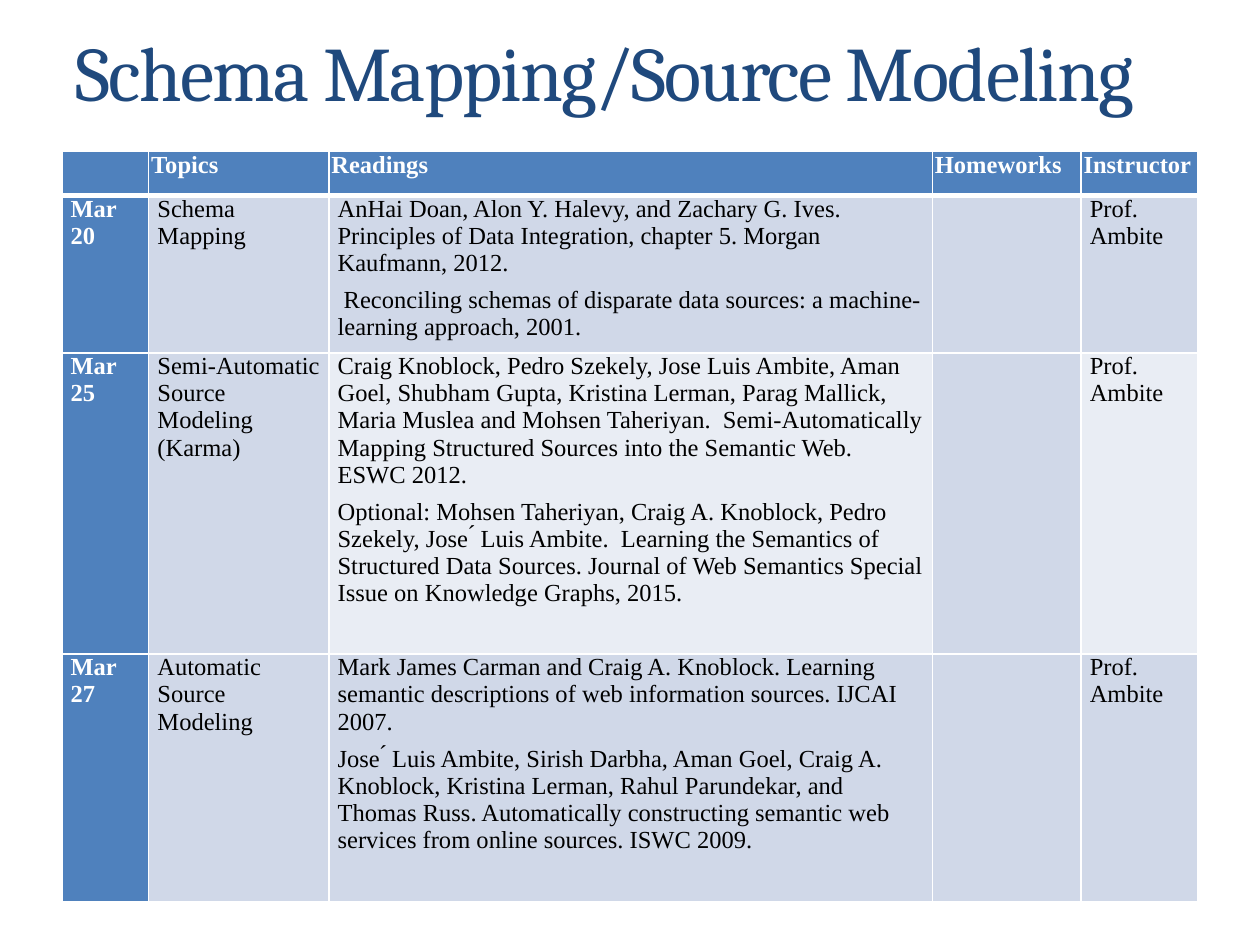
"""Build a one-slide course schedule for schema mapping and source modeling."""
import pptx
import pptx.dml.color
import pptx.enum.text
import pptx.oxml
import pptx.oxml.ns
import pptx.util

WIDTH, HEIGHT = 10, 7.5
COLS = [0.69, 1.43, 4.79, 1.18, 0.93]
ROWS = [0.35, 1.14, 2.39, 1.97]
BLUE, PALE, LIGHT, WHITE, BLACK = "4F81BD", "D0D8E8", "E9EDF4", "FFFFFF", "000000"
LEFT = pptx.enum.text.PP_ALIGN.LEFT
JUSTIFY = pptx.enum.text.PP_ALIGN.JUSTIFY
HEADER_ALIGNS = [LEFT, LEFT, LEFT, JUSTIFY, JUSTIFY]
BODY_ALIGNS = [JUSTIFY, LEFT, LEFT, LEFT, JUSTIFY]
NS = pptx.oxml.ns.nsdecls("a")

HEADER = ["", "Topics", "Readings", "Homeworks", "Instructor"]
SESSIONS = [
    ("Mar 20", "Schema Mapping", [
        "AnHai Doan, Alon Y. Halevy, and Zachary G. Ives. Principles of Data "
        "Integration, chapter 5. Morgan Kaufmann, 2012.",
        " Reconciling schemas of disparate data sources: a machine-learning "
        "approach, 2001."]),
    ("Mar 25", "Semi-Automatic Source Modeling (Karma)", [
        "Craig Knoblock, Pedro Szekely, Jose Luis Ambite, Aman Goel, Shubham "
        "Gupta, Kristina Lerman, Parag Mallick, Maria Muslea and Mohsen "
        "Taheriyan.  Semi-Automatically Mapping Structured Sources into the "
        "Semantic Web. ESWC 2012.",
        "Optional: Mohsen Taheriyan, Craig A. Knoblock, Pedro Szekely, "
        "Jose ́ Luis Ambite.  Learning the Semantics of Structured Data "
        "Sources. Journal of Web Semantics Special Issue on Knowledge Graphs, "
        "2015."]),
    ("Mar 27", "Automatic  Source Modeling", [
        "Mark James Carman and Craig A. Knoblock. Learning semantic "
        "descriptions of web information sources. IJCAI 2007.",
        "Jose ́ Luis Ambite, Sirish Darbha, Aman Goel, Craig A. Knoblock, "
        "Kristina Lerman, Rahul Parundekar, and Thomas Russ. Automatically "
        "constructing semantic web services from online sources. ISWC 2009."]),
]


def rgb(value):
    """Return the colour for a hex string."""
    return pptx.dml.color.RGBColor.from_string(value)


def box(x, y, w, h):
    """Turn shares of the slide into left, top, width and height."""
    return [pptx.util.Inches(round(share * size, 2))
            for share, size in zip((x, y, w, h), (WIDTH, HEIGHT) * 2)]


def add_run(p, text, size, name, color, bold=False):
    """Append a formatted run to a paragraph."""
    r = p.add_run()
    r.text = text
    r.font.size = pptx.util.Pt(size)
    r.font.bold = bold
    r.font.color.rgb = rgb(color)
    r.font.name = name
    return r


def add_text_shadow(r):
    """Give a run a soft shadow to the lower right."""
    effect = pptx.oxml.parse_xml(
        f'<a:effectLst {NS}><a:outerShdw blurRad="38100" dist="38100" dir="2700000" '
        'algn="tl"><a:srgbClr val="000000"><a:alpha val="43000"/></a:srgbClr>'
        '</a:outerShdw></a:effectLst>')
    r.font._element.find(pptx.oxml.ns.qn("a:solidFill")).addnext(effect)


def add_title(slide, text):
    """Add the slide title on the upper line of its box."""
    tf = slide.shapes.add_textbox(*box(0.05, 0.04, 0.901, 0.167)).text_frame
    tf.word_wrap = True
    tf.vertical_anchor = pptx.enum.text.MSO_ANCHOR.MIDDLE
    p = tf.paragraphs[0]
    r = add_run(p, text, 44, "Cambria", "1F497D")
    r.font._element.set("spc", "-100")
    add_text_shadow(r)
    p.add_line_break()
    p.font.size = pptx.util.Pt(44)


def set_borders(cell, top, bottom):
    """Draw white borders around a cell, with widths in points."""
    tc_pr = cell._tc.get_or_add_tcPr()
    for side, width in zip("LRTB", (1, 1, top, bottom)):
        tc_pr.append(pptx.oxml.parse_xml(
            f'<a:ln{side} {NS} w="{pptx.util.Pt(width)}"><a:solidFill>'
            f'<a:srgbClr val="{WHITE}"/></a:solidFill></a:ln{side}>'))


def fill_cell(cell, texts, fill, color, bold, align, inset, after):
    """Set the fill, insets and paragraphs of a cell."""
    cell.margin_left = cell.margin_right = pptx.util.Inches(inset)
    cell.margin_top = cell.margin_bottom = 0
    cell.fill.solid()
    cell.fill.fore_color.rgb = rgb(fill)
    tf = cell.text_frame
    for i, text in enumerate(texts):
        p = tf.add_paragraph() if i else tf.paragraphs[0]
        p.alignment = align
        p.space_after = pptx.util.Pt(after)
        if text:
            add_run(p, text, 14, "Times New Roman", color, bold)


def body_fill(row, col):
    """Return the fill of a body cell."""
    if col == 0:
        return BLUE
    return LIGHT if row == 2 and col in (2, 4) else PALE


def add_schedule(slide):
    """Add the schedule table."""
    table = slide.shapes.add_table(
        len(ROWS), len(COLS), *box(0.049, 0.16, 0.902, 0.779)).table
    for col, width in zip(table.columns, COLS):
        col.width = pptx.util.Inches(width)
    for row, height in zip(table.rows, ROWS):
        row.height = pptx.util.Inches(height)
    for j, text in enumerate(HEADER):
        cell = table.cell(0, j)
        set_borders(cell, 1, 3)
        fill_cell(cell, [text], BLUE, WHITE, True, HEADER_ALIGNS[j], 0.02, 0)
    for i, (date, topic, readings) in enumerate(SESSIONS, 1):
        columns = [[date], [topic], readings, [""], ["Prof. Ambite"]]
        for j, texts in enumerate(columns):
            cell = table.cell(i, j)
            set_borders(cell, 3 if i == 1 else 1, 1)
            fill_cell(cell, texts, body_fill(i, j), BLACK if j else WHITE,
                      j == 0, BODY_ALIGNS[j], 0.07, 6 if j == 2 else 0)


def main():
    """Build and save the slide."""
    prs = pptx.Presentation()
    prs.slide_width = pptx.util.Inches(WIDTH)
    prs.slide_height = pptx.util.Inches(HEIGHT)
    slide = prs.slides.add_slide(prs.slide_layouts[6])
    add_title(slide, "Schema Mapping/Source Modeling")
    add_schedule(slide)
    prs.save("out.pptx")


if __name__ == "__main__":
    main()
